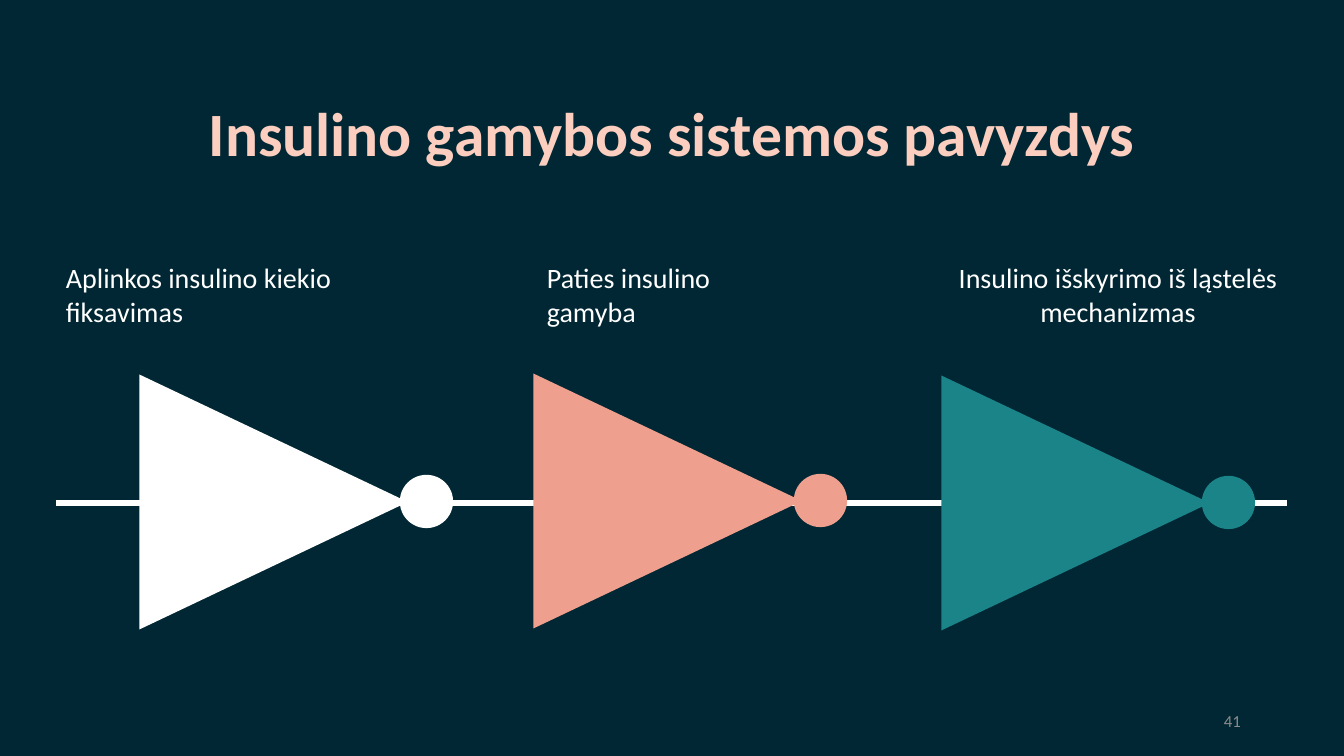
import pptx
import pptx.util
import pptx.dml.color
import pptx.enum.shapes
import pptx.enum.text
import pptx.oxml
import pptx.oxml.ns

PX = 914400 / 100.8
Kind = pptx.enum.shapes.MSO_SHAPE
Align = pptx.enum.text.PP_ALIGN
Anchor = pptx.enum.text.MSO_ANCHOR
theme = {
    "font": "Calibri",
    "back": "002733", "title": "FCCEC0", "page": "8C8C8C",
    "white": "FFFFFF", "coral": "EF9F8D", "teal": "1B8489",
    "head": 44, "label": 20, "small": 12, "line": 4.5,
}


def scale(*spans):
    return [round(span * PX) for span in spans]


def write(shape, text, size, color, align, anchor):
    frame = shape.text_frame
    frame.word_wrap = True
    frame.auto_size = pptx.enum.text.MSO_AUTO_SIZE.NONE
    frame.vertical_anchor = anchor
    frame.text = text
    line = frame.paragraphs[0]
    line.alignment = align
    line.font.name = theme["font"]
    line.font.size = pptx.util.Pt(theme[size])
    line.font.color.rgb = pptx.dml.color.RGBColor.from_string(theme[color])
    return line


deck = pptx.Presentation()
deck.slide_width, deck.slide_height = scale(1344, 756)
slide = deck.slides.add_slide(deck.slide_layouts[5])
slide.background.fill.solid()
slide.background.fill.fore_color.rgb = pptx.dml.color.RGBColor.from_string(theme["back"])

title = slide.shapes.title
title.left, title.top, title.width, title.height = scale(93, 64, 1159, 146)
head = write(title, "Insulino gamybos sistemos pavyzdys", "head", "title", Align.CENTER, Anchor.MIDDLE)
head.font.bold = True
head.line_spacing = 0.9

page = slide.shapes.add_textbox(*scale(949, 701, 302, 40))
write(page, "41", "small", "page", Align.RIGHT, Anchor.MIDDLE)

chain = slide.shapes.add_group_shape().shapes
wire = chain.add_connector(pptx.enum.shapes.MSO_CONNECTOR.STRAIGHT, *scale(1287, 503, 56, 503))
wire.line.color.rgb = pptx.dml.color.RGBColor.from_string(theme["white"])
wire.line.width = pptx.util.Pt(theme["line"])
wire._element.spPr.append(pptx.oxml.parse_xml(f'<a:effectLst {pptx.oxml.ns.nsdecls("a")}/>'))

for left, top, color in [(149, 373, "white"), (543, 372, "coral"), (951, 374, "teal")]:
    gate = chain.add_shape(Kind.ISOSCELES_TRIANGLE, *scale(left, top, 245, 258))
    gate.rotation = 90
    knob = chain.add_shape(Kind.OVAL, *scale(left + 254, top + 105, 47, 47))
    for part in (gate, knob):
        tint = pptx.dml.color.RGBColor.from_string(theme[color])
        part.shadow.inherit = False
        part.fill.solid()
        part.fill.fore_color.rgb = tint
        part.line.color.rgb = tint
        part.line.width = pptx.util.Pt(theme["line"])
        part.line._get_or_add_ln().append(
            pptx.oxml.parse_xml(f'<a:miter {pptx.oxml.ns.nsdecls("a")} lim="800000"/>'))

labels = [
    (56, 390, "Aplinkos insulino kiekio fiksavimas", Align.LEFT),
    (537, 265, "Paties insulino gamyba", Align.LEFT),
    (930, 376, "Insulino išskyrimo iš ląstelės mechanizmas", Align.CENTER),
]
for left, width, text, align in labels:
    label = slide.shapes.add_textbox(*scale(left, 256, width, 78))
    write(label, text, "label", "white", align, Anchor.TOP)

deck.save("out.pptx")
